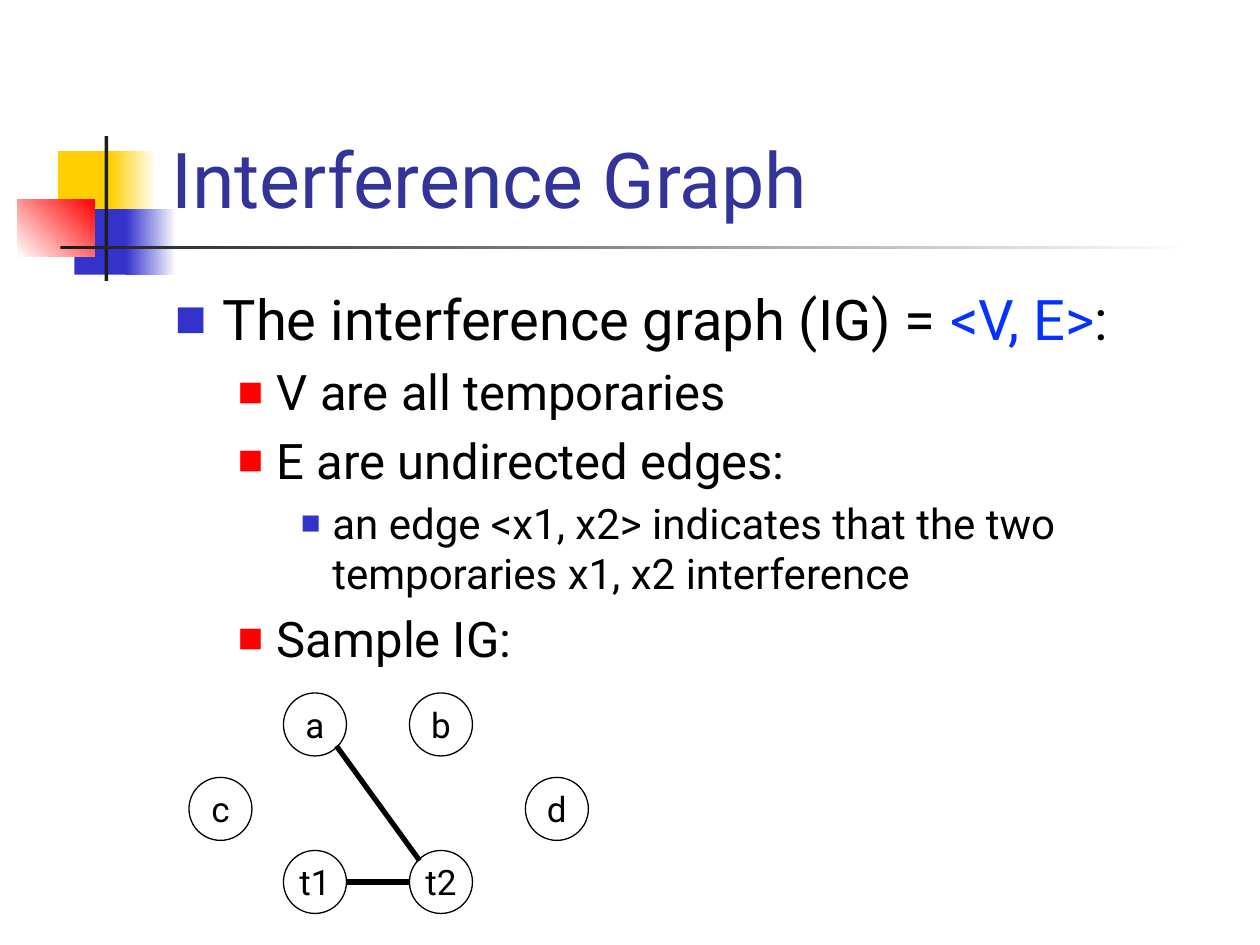
import pptx
import pptx.util
import pptx.dml.color
import pptx.enum.shapes
import pptx.enum.text
import pptx.oxml.ns
import lxml.etree

Inches, Pt = pptx.util.Inches, pptx.util.Pt
RGB = pptx.dml.color.RGBColor
KIND = pptx.enum.shapes.MSO_SHAPE
ANCHOR = pptx.enum.text.MSO_ANCHOR
ALIGN = pptx.enum.text.PP_ALIGN
qn = pptx.oxml.ns.qn

BLACK, WHITE = RGB(0, 0, 0), RGB(255, 255, 255)
GOLD, RED = RGB(0xFF, 0xCF, 0x01), RGB(255, 0, 0)
BLUE, DARK = RGB(0x33, 0x33, 0xCC), RGB(0x1C, 0x1C, 0x1C)
NAVY, VIVID = RGB(0x33, 0x33, 0x99), RGB(0x04, 0x32, 0xFF)
FONT = "Roboto"


def add_run(para, text, size, color):
    run = para.add_run()
    run.text = text
    run.font.name = FONT
    run.font.size = Pt(size)
    run.font.color.rgb = color


def add_form(kind, left, top, width, height):
    form = slide.shapes.add_shape(
        kind, Inches(left), Inches(top), Inches(width), Inches(height))
    form.shadow.inherit = False
    return form


deck = pptx.Presentation()
deck.slide_width, deck.slide_height = Inches(10), Inches(7.5)
slide = deck.slides.add_slide(deck.slide_layouts[5])

# Corner ornament and rule: place, first colour, last colour, angle
for place, start, end, angle in [
    ((0.46, 1.2, 0.48, 0.52), GOLD, None, 0),
    ((0.88, 1.2, 0.36, 0.52), GOLD, WHITE, 0),
    ((0.59, 1.66, 0.46, 0.52), BLUE, None, 0),
    ((1, 1.66, 0.4, 0.52), BLUE, WHITE, 0),
    ((0.14, 1.58, 0.61, 0.46), WHITE, RED, 45),
    ((0.83, 1.08, 0.03, 1.15), DARK, None, 0),
    ((0.48, 1.95, 9, 0.03), DARK, WHITE, 0),
]:
    block = add_form(KIND.RECTANGLE, *place)
    block.line.fill.background()
    if end is None:
        block.fill.solid()
        block.fill.fore_color.rgb = start
    else:
        block.fill.gradient()
        block.fill.gradient_angle = angle
        for stop, color, spot in zip(block.fill.gradient_stops, (start, end), (0, 1)):
            stop.color.rgb = color
            stop.position = spot

# Title, brought in front of the ornament
title = slide.shapes.title
title.left, title.top = Inches(1.26), Inches(0.23)
title.width, title.height = Inches(8.52), Inches(1.6)
title.text_frame.vertical_anchor = ANCHOR.BOTTOM
para = title.text_frame.paragraphs[0]
para.alignment = ALIGN.LEFT
add_run(para, "Interference Graph", 44, NAVY)
slide.shapes._spTree.append(title._element)

# Bulleted text; each level: size, indent, hang, bullet colour, bullet percent
LEVELS = [
    (32, 0.38, 0.38, BLUE, 60),
    (28, 0.81, 0.31, RED, 55),
    (24, 1.25, 0.25, BLUE, 50),
]
points = [
    (0, [("The interference graph (IG) = ", BLACK), ("<V, E>", VIVID), (":", BLACK)]),
    (1, [("V are all temporaries", BLACK)]),
    (1, [("E are undirected edges:", BLACK)]),
    (2, [("an edge <x1, x2> indicates that the two temporaries x1, x2 interference",
          BLACK)]),
    (1, [("Sample IG:", BLACK)]),
]
body = slide.shapes.add_textbox(Inches(1.29), Inches(2.21), Inches(8.5), Inches(4.5))
frame = body.text_frame
frame.word_wrap = True
for num, (level, runs) in enumerate(points):
    size, indent, hang, color, scale = LEVELS[level]
    para = frame.add_paragraph() if num else frame.paragraphs[0]
    para.level = level
    para.space_before = Pt(size * 0.2)
    for text, ink in runs:
        add_run(para, text, size, ink)
    props = para._p.get_or_add_pPr()
    props.set("marL", str(Inches(indent)))
    props.set("indent", str(-Inches(hang)))
    tint = lxml.etree.SubElement(props, qn("a:buClr"))
    lxml.etree.SubElement(tint, qn("a:srgbClr"), val=str(color))
    lxml.etree.SubElement(props, qn("a:buSzPct"), val=str(scale * 1000))
    lxml.etree.SubElement(props, qn("a:buFont"), typeface=FONT)
    lxml.etree.SubElement(props, qn("a:buChar"), char="■")

# Graph nodes
for name, left, top in [
    ("a", 2.25, 5.5), ("b", 3.25, 5.5), ("c", 1.5, 6.17),
    ("d", 4.17, 6.17), ("t1", 2.25, 6.75), ("t2", 3.25, 6.75),
]:
    node = add_form(KIND.OVAL, left, top, 0.5, 0.5)
    node.fill.background()
    node.line.color.rgb = BLACK
    node.line.width = Pt(0.75)
    node.text_frame.word_wrap = False
    node.text_frame.vertical_anchor = ANCHOR.MIDDLE
    para = node.text_frame.paragraphs[0]
    para.alignment = ALIGN.CENTER
    add_run(para, name, 20, BLACK)

# Graph edges
for ends in [(2.75, 7, 3.25, 7), (2.67, 5.92, 3.33, 6.83)]:
    edge = slide.shapes.add_connector(
        pptx.enum.shapes.MSO_CONNECTOR.STRAIGHT, *map(Inches, ends))
    edge.line.color.rgb = BLACK
    edge.line.width = Pt(3)
    lxml.etree.SubElement(edge._element.spPr, qn("a:effectLst"))

deck.save("out.pptx")
